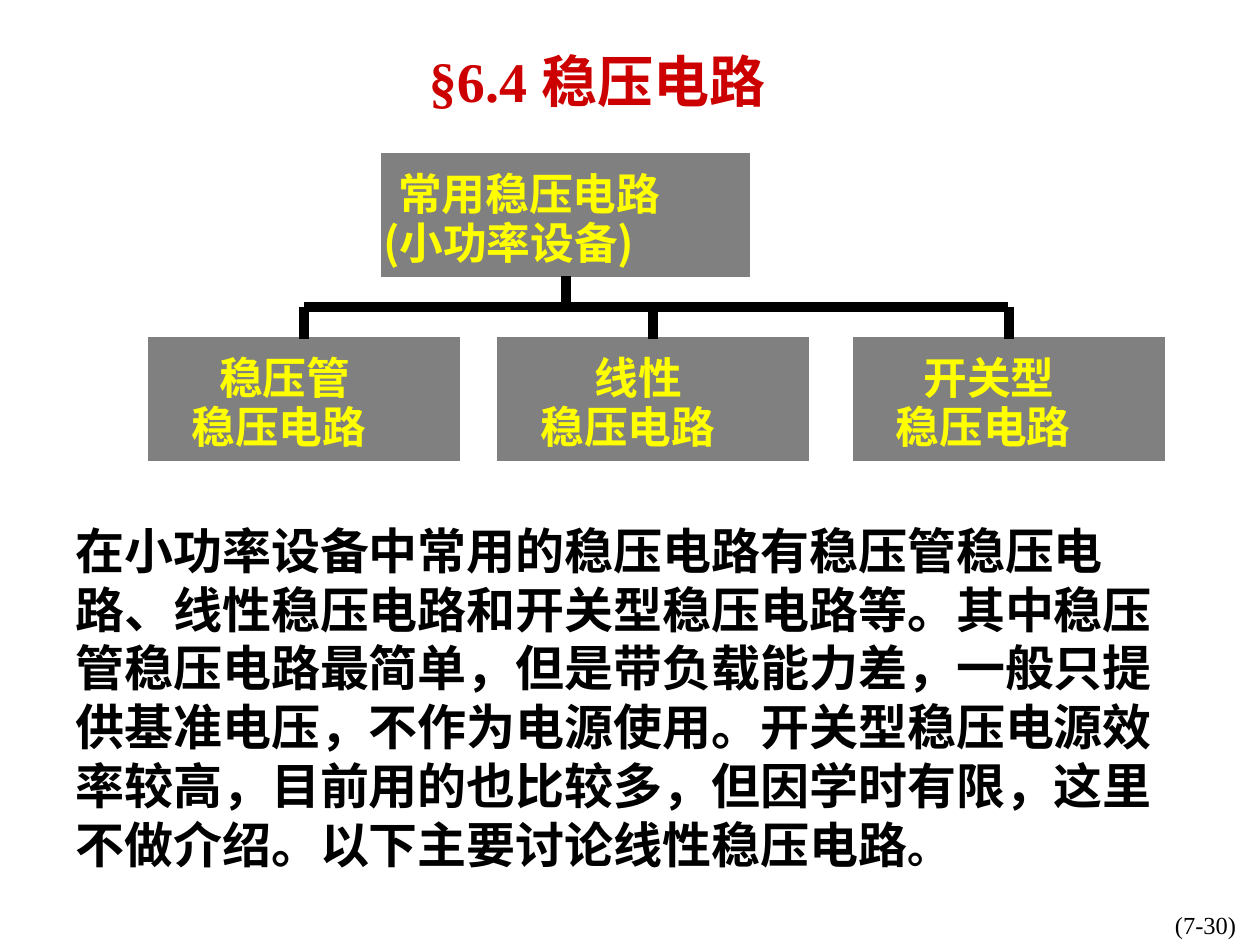
from dataclasses import dataclass

from lxml.etree import SubElement
from pptx import Presentation
from pptx.dml.color import RGBColor
from pptx.enum.shapes import MSO_CONNECTOR, MSO_SHAPE
from pptx.enum.text import MSO_ANCHOR, MSO_AUTO_SIZE, PP_ALIGN
from pptx.oxml.ns import qn
from pptx.util import Inches, Pt


@dataclass(frozen=True)
class Theme:
    heading: RGBColor = RGBColor(0xCC, 0x00, 0x00)
    ink: RGBColor = RGBColor(0x00, 0x00, 0x00)
    box: RGBColor = RGBColor(0x80, 0x80, 0x80)
    label: RGBColor = RGBColor(0xFF, 0xFF, 0x00)
    serif: str = "Times New Roman"
    chinese: str = "Noto Sans CJK SC"
    title_size: float = 32
    body_size: float = 28
    final_stop_size: float = 24
    label_size: float = 25
    page_size: float = 14
    branch_width: float = 5.75
    box_border: float = 1.87


class SlideBuilder:
    def __init__(self, slide, theme):
        self.slide = slide
        self.theme = theme

    def format_run(self, run, size, color, latin, bold=True):
        run.font.size = Pt(size)
        run.font.bold = bold
        run.font.color.rgb = color
        run.font.name = latin
        SubElement(run.font._element, qn("a:ea"), typeface=self.theme.chinese)

    def title(self, text, left, top, width, height):
        heading = self.slide.shapes.title
        heading.left, heading.top = Inches(left), Inches(top)
        heading.width, heading.height = Inches(width), Inches(height)
        heading.text_frame.text = text
        heading.text_frame.vertical_anchor = MSO_ANCHOR.MIDDLE
        paragraph = heading.text_frame.paragraphs[0]
        paragraph.alignment = PP_ALIGN.CENTER
        self.format_run(paragraph.runs[0], self.theme.title_size,
                        self.theme.heading, self.theme.serif)

    def text(self, text, left, top, width, height, align=PP_ALIGN.LEFT):
        """Add a wrapped text box and return its paragraph for formatting."""
        frame = self.slide.shapes.add_textbox(
            Inches(left), Inches(top), Inches(width), Inches(height)).text_frame
        frame.word_wrap = True
        frame.text = text
        paragraph = frame.paragraphs[0]
        paragraph.alignment = align
        paragraph._p.get_or_add_pPr().set("hangingPunct", "0")
        return paragraph

    def label(self, text, left, top, width):
        frame = self.slide.shapes.add_textbox(
            Inches(left), Inches(top), Inches(width), Inches(0.42)).text_frame
        frame.margin_left = frame.margin_right = 0
        frame.margin_top = frame.margin_bottom = 0
        frame.word_wrap = False
        frame.auto_size = MSO_AUTO_SIZE.SHAPE_TO_FIT_TEXT
        frame.text = text
        self.format_run(frame.paragraphs[0].runs[0], self.theme.label_size,
                        self.theme.label, self.theme.chinese)

    def box(self, left, top, width, lines):
        """Add a box; lines holds (text, offset from the left edge, width)."""
        box = self.slide.shapes.add_shape(
            MSO_SHAPE.RECTANGLE, Inches(left), Inches(top), Inches(width), Inches(0.96))
        box.shadow.inherit = False
        box.fill.solid()
        box.fill.fore_color.rgb = self.theme.box
        box.line.color.rgb = self.theme.box
        box.line.width = Pt(self.theme.box_border)
        SubElement(box.get_or_add_ln(), qn("a:miter"), lim="800000")
        for row, (text, offset, text_width) in enumerate(lines):
            self.label(text, left + offset, top + 0.09 + 0.39 * row, text_width)
        return box

    def branch(self, start, end):
        line = self.slide.shapes.add_connector(
            MSO_CONNECTOR.STRAIGHT, *(Inches(length) for length in start + end))
        line.line.color.rgb = self.theme.ink
        line.line.width = Pt(self.theme.branch_width)
        SubElement(line._element.spPr, qn("a:effectLst"))
        return line


def main():
    presentation = Presentation()
    presentation.slide_width, presentation.slide_height = Inches(10), Inches(7.5)
    theme = Theme()
    builder = SlideBuilder(
        presentation.slides.add_slide(presentation.slide_layouts[5]), theme)

    builder.title("§6.4 稳压电路", 3.06, 0.36, 3.36, 0.56)

    root = builder.box(3.04, 1.23, 2.9, [("常用稳压电路", 0.12, 2.08),
                                         ("(小功率设备)", 0, 2.32)])
    bus_y, type_top, type_width = 2.44, 2.69, 2.45
    builder.branch((4.49, 2.19), (4.49, bus_y)).begin_connect(root, 2)

    regulator_types = [("稳压管", 1.19, 0.55, 1.04),
                       ("线性", 3.96, 0.76, 0.72),
                       ("开关型", 6.78, 0.55, 1.04)]
    for name, left, offset, name_width in regulator_types:
        box = builder.box(left, type_top, type_width,
                          [(name, offset, name_width), ("稳压电路", 0.33, 1.39)])
        middle = left + type_width / 2
        builder.branch((middle, bus_y), (middle, type_top)).end_connect(box, 0)
    for start, end in ((2.41, 4.49), (4.49, 5.18), (4.99, 8)):
        builder.branch((start, bus_y), (end, bus_y))

    summary = builder.text(
        "在小功率设备中常用的稳压电路有稳压管稳压电路、线性稳压电路和开关型稳压电路等。"
        "其中稳压管稳压电路最简单，但是带负载能力差，一般只提供基准电压，不作为电源使用。"
        "开关型稳压电源效率较高，目前用的也比较多，但因学时有限，这里不做介绍。"
        "以下主要讨论线性稳压电路", 0.5, 4.08, 9.12, 2.9)
    final_stop = summary.add_run()
    final_stop.text = "。"
    for run, size in zip(summary.runs, (theme.body_size, theme.final_stop_size)):
        builder.format_run(run, size, theme.ink, theme.serif)

    page = builder.text("(7-30)", 7.83, 7.17, 2.08, 0.5, PP_ALIGN.RIGHT)
    builder.format_run(page.runs[0], theme.page_size, theme.ink, theme.serif, bold=False)

    presentation.save("out.pptx")


if __name__ == "__main__":
    main()
